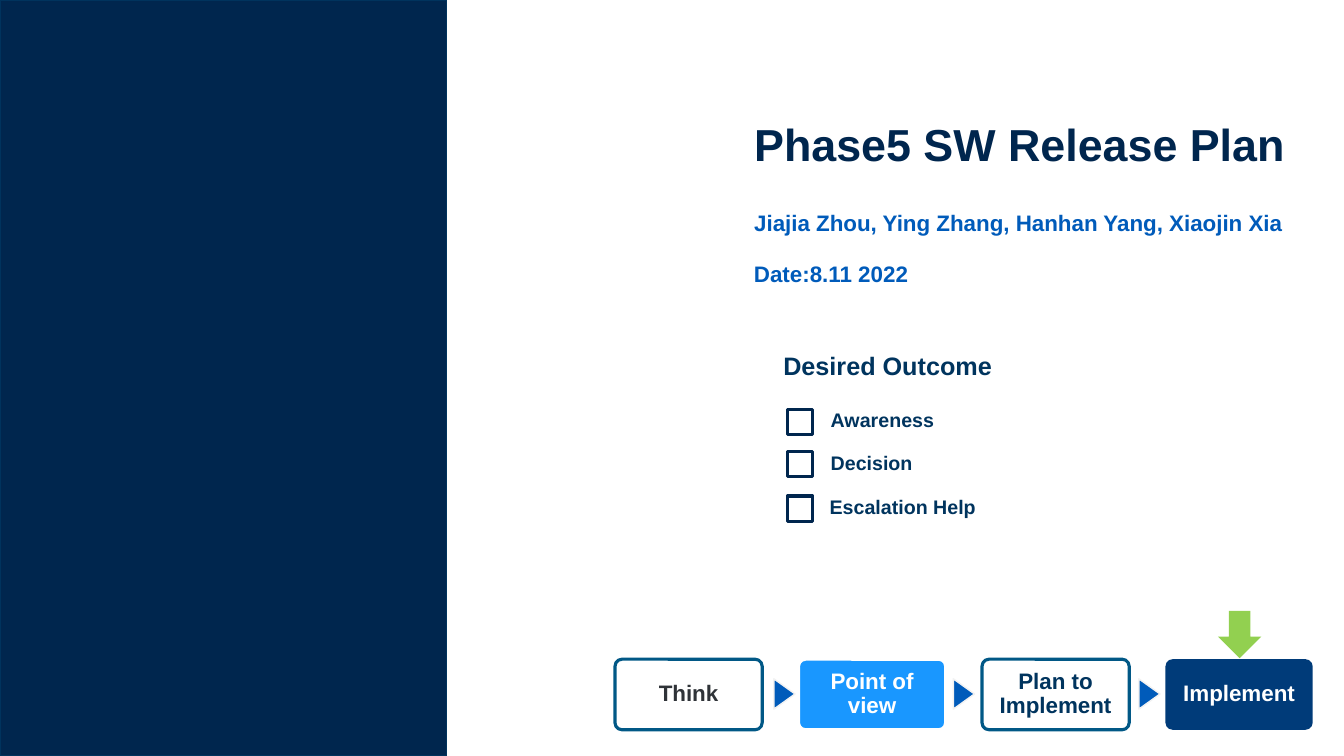
from typing import NamedTuple, Optional

from pptx import Presentation
from pptx.dml.color import RGBColor
from pptx.enum.shapes import MSO_SHAPE as Preset
from pptx.enum.text import MSO_ANCHOR as Anchor, MSO_AUTO_SIZE as AutoSize, PP_ALIGN as Align
from pptx.shapes.autoshape import Shape
from pptx.slide import Slide
from pptx.util import Inches, Pt

NAVY = RGBColor(0x00, 0x26, 0x4E)
PANEL_EDGE = RGBColor(0x00, 0x33, 0x5D)
INK = RGBColor(0x00, 0x34, 0x5E)
BLUE = RGBColor(0x00, 0x5B, 0xBA)
SKY = RGBColor(0x19, 0x97, 0xFF)
ROYAL = RGBColor(0x00, 0x3B, 0x79)
TEAL = RGBColor(0x01, 0x58, 0x86)
CHARCOAL = RGBColor(0x2F, 0x33, 0x38)
GREEN = RGBColor(0x92, 0xD0, 0x50)
PALE = RGBColor(0xF2, 0xF2, 0xF2)
WHITE = RGBColor(0xFF, 0xFF, 0xFF)

TEXT_LEFT = 7.38
LABEL_HEIGHT = 0.64
STEP_LEFT, STEP_TOP, STEP_PITCH = 6.1, 6.54, 1.82
STEP_WIDTH, STEP_HEIGHT = 1.46, 0.7


class Area(NamedTuple):
    left: float
    top: float
    width: float
    height: float


class Step(NamedTuple):
    text: str
    color: RGBColor
    fill: Optional[RGBColor]
    line: Optional[RGBColor]


class Outcome(NamedTuple):
    text: str
    box_top: float
    label: Area


STEPS = [
    Step("Think", CHARCOAL, None, TEAL),
    Step("Point of view", WHITE, SKY, WHITE),
    Step("Plan to Implement", INK, None, TEAL),
    Step("Implement", WHITE, ROYAL, None),
]
ARROW_LEFTS = [7.63, 9.41, 11.25]
OUTCOMES = [
    Outcome("Awareness", 4.06, Area(8.14, 3.84, 1.99, LABEL_HEIGHT)),
    Outcome("Decision", 4.48, Area(8.14, 4.27, 1.99, LABEL_HEIGHT)),
    Outcome("Escalation Help", 4.92, Area(8.13, 4.71, 2.42, LABEL_HEIGHT)),
]


def write(shape: Shape, text: str, size: int, color: RGBColor, align: Align = Align.LEFT) -> None:
    """Fill a shape with one bold, vertically centred paragraph."""
    frame = shape.text_frame
    frame.text = text
    frame.word_wrap = True
    frame.auto_size = AutoSize.NONE
    frame.vertical_anchor = Anchor.MIDDLE
    para = frame.paragraphs[0]
    para.alignment = align
    para.space_before = Pt(0)
    para.font.name = "Arial"
    para.font.size = Pt(size)
    para.font.bold = True
    para.font.color.rgb = color


def move(shape: Shape, area: Area) -> None:
    shape.left, shape.top, shape.width, shape.height = map(Inches, area)


def add_label(page: Slide, area: Area, text: str, size: int, color: RGBColor) -> None:
    write(page.shapes.add_textbox(*map(Inches, area)), text, size, color)


def add_preset(page: Slide, preset: Preset, area: Area, fill: Optional[RGBColor] = None,
               line: Optional[RGBColor] = None, weight: float = 1) -> Shape:
    """Add a flat shape; a missing fill or line colour leaves it out."""
    shape = page.shapes.add_shape(preset, *map(Inches, area))
    shape.shadow.inherit = False
    if fill is None:
        shape.fill.background()
    else:
        shape.fill.solid()
        shape.fill.fore_color.rgb = fill
    if line is None:
        shape.line.fill.background()
    else:
        shape.line.color.rgb = line
        shape.line.width = Pt(weight)
    return shape


def add_headings(page: Slide) -> None:
    title, authors = page.placeholders
    move(title, Area(TEXT_LEFT, 0.83, 6.45, 1.18))
    write(title, "Phase5 SW Release Plan", 32, NAVY)
    move(authors, Area(TEXT_LEFT, 1.89, 5.79, LABEL_HEIGHT))
    write(authors, "Jiajia Zhou, Ying Zhang, Hanhan Yang, Xiaojin Xia", 16, BLUE)
    add_label(page, Area(TEXT_LEFT, 2.39, 3.7, LABEL_HEIGHT), "Date:8.11 2022", 16, BLUE)


def add_outcomes(page: Slide) -> None:
    add_label(page, Area(7.67, 3.31, 3.42, LABEL_HEIGHT), "Desired Outcome", 18, INK)
    for outcome in OUTCOMES:
        add_preset(page, Preset.RECTANGLE, Area(7.81, outcome.box_top, 0.25, 0.25),
                   line=NAVY, weight=2.25)
        add_label(page, outcome.label, outcome.text, 14, INK)


def add_process(page: Slide) -> None:
    for index, step in enumerate(STEPS):
        area = Area(STEP_LEFT + index * STEP_PITCH, STEP_TOP, STEP_WIDTH, STEP_HEIGHT)
        box = add_preset(page, Preset.ROUNDED_RECTANGLE, area, step.fill, step.line, 2.25)
        box.adjustments[0] = 0.1
        write(box, step.text, 16, step.color, Align.CENTER)
        box.text_frame.paragraphs[0].line_spacing = 0.9
    for left in ARROW_LEFTS:
        arrow = add_preset(page, Preset.ISOSCELES_TRIANGLE, Area(left, 6.78, 0.3, 0.21), BLUE, PALE)
        arrow.rotation = 90
    add_preset(page, Preset.DOWN_ARROW, Area(12.08, 6.06, 0.43, 0.47), GREEN)


def main() -> None:
    deck = Presentation()
    deck.slide_width, deck.slide_height = Inches(13.33), Inches(7.5)
    page = deck.slides.add_slide(deck.slide_layouts[0])
    add_preset(page, Preset.RECTANGLE, Area(0, 0, 4.43, 7.5), NAVY, PANEL_EDGE)
    add_headings(page)
    add_process(page)
    add_outcomes(page)
    deck.save("out.pptx")


if __name__ == "__main__":
    main()
